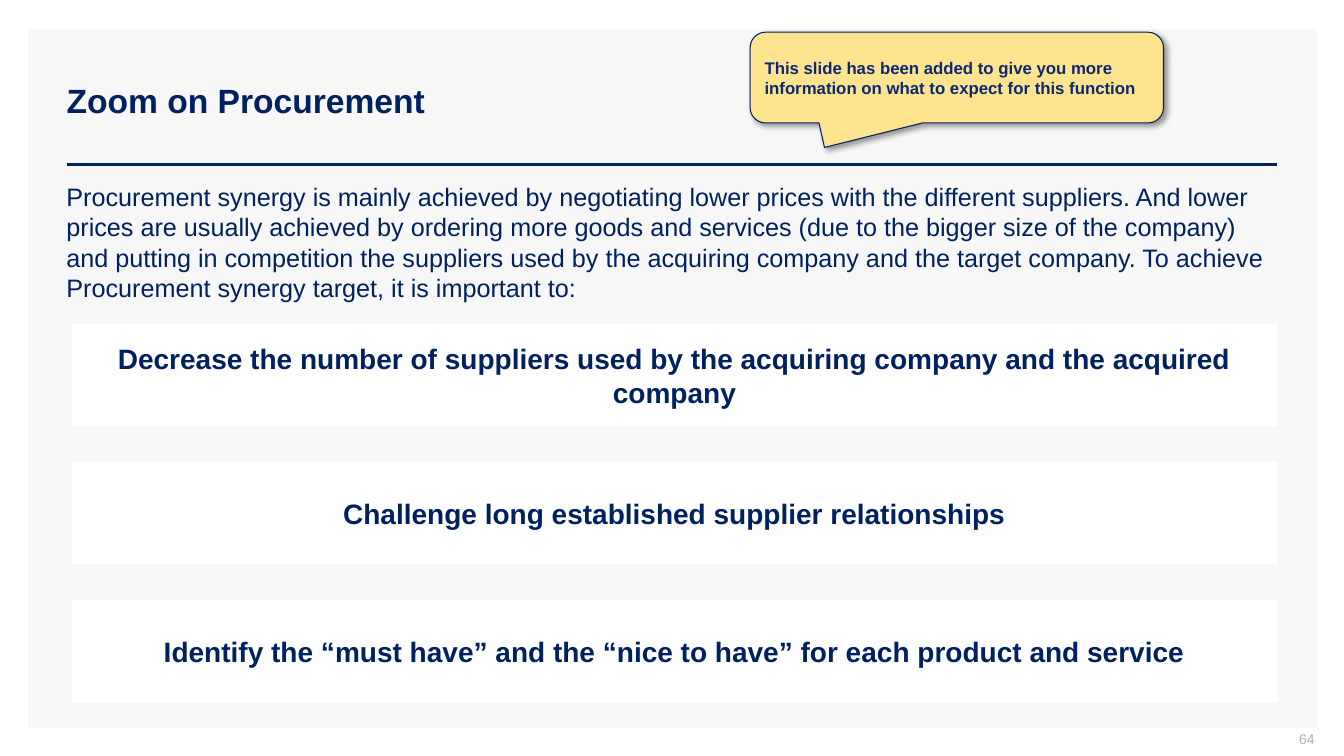
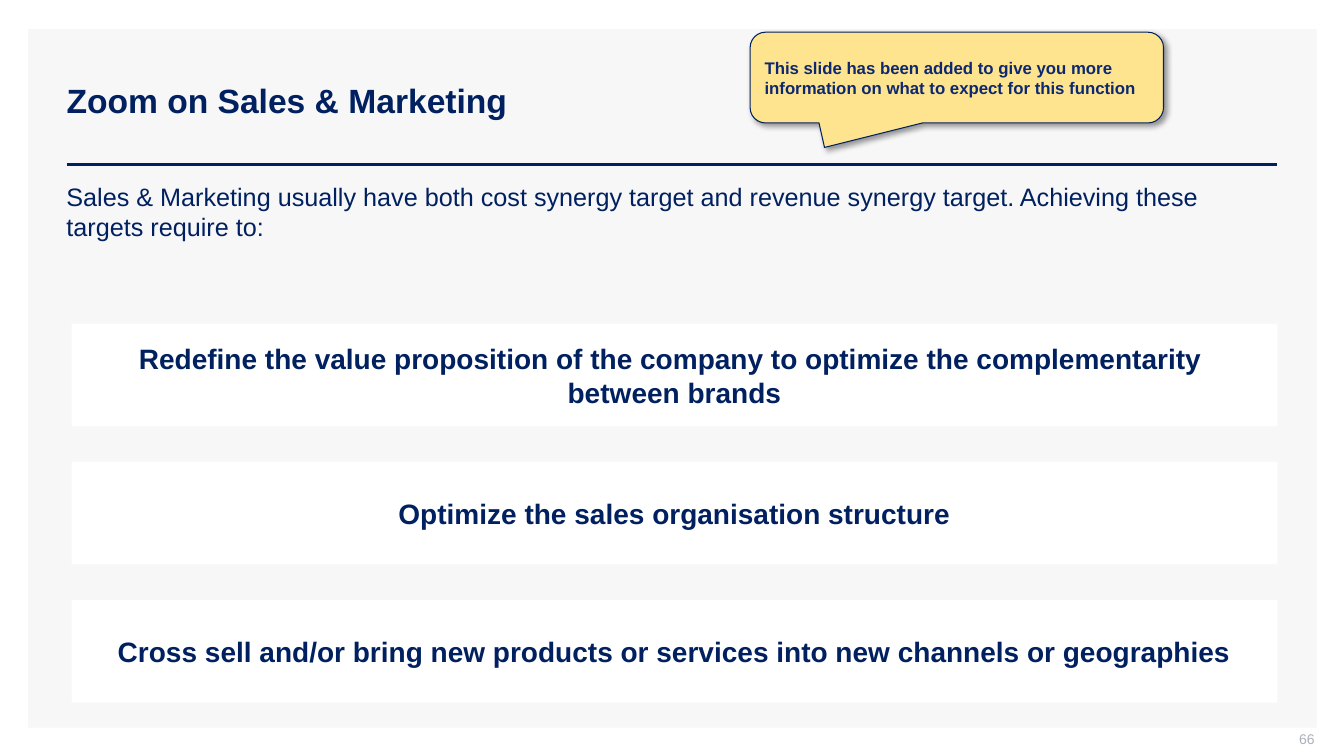
from lxml import etree
from pptx import Presentation
from pptx import util as u
from pptx.dml.color import RGBColor
from pptx.enum import shapes, text
from pptx.oxml import parse_xml
from pptx.oxml.ns import nsdecls, qn

PX = 9144  # EMU in one px, 100 px to the inch
FONT = "Arial"
COLORS = {
    "navy": "002060",
    "note_text": "0C2870",
    "note": "FFE48F",
    "panel": "F7F7F7",
    "white": "FFFFFF",
    "page_number": "ADAFBB",
    "shadow": "000000",
}
NOTE = ("This slide has been added to give you more information "
        "on what to expect for this function")
CARD_TOP, CARD_PITCH = 321, 137

SLIDES = [
    {
        "title": "Zoom on Procurement",
        "number": "64",
        "intro": "Procurement synergy is mainly achieved by negotiating lower prices with the "
                 "different suppliers. And lower prices are usually achieved by ordering more "
                 "goods and services (due to the bigger size of the company) and putting in "
                 "competition the suppliers used by the acquiring company and the target "
                 "company. To achieve Procurement synergy target, it is important to:",
        "intro_height": 131,
        "cards": [
            "Decrease the number of suppliers used by the acquiring company and the acquired company",
            "Challenge long established supplier relationships",
            "Identify the “must have” and the “nice to have” for each product and service",
        ],
    },
    {
        "title": "Zoom on Sales & Marketing",
        "number": "66",
        "intro": "Sales & Marketing usually have both cost synergy target and revenue synergy "
                 "target. Achieving these targets require to:",
        "intro_height": 71,
        "cards": [
            "Redefine the value proposition of the company to optimize the complementarity \v"
            "between brands",
            "Optimize the sales organisation structure",
            "Cross sell and/or bring new products or services into new channels or geographies",
        ],
    },
]


def px(*lengths):
    return [u.Emu(length * PX) for length in lengths]


def rgb(name):
    return RGBColor.from_string(COLORS[name])


class Deck:
    """Holds the shared style and the slide being drawn."""

    def __init__(self):
        self.deck = Presentation()
        self.deck.slide_width, self.deck.slide_height = px(1333, 750)
        self.page = None

    def set_words(self, box, words, size, color="navy", bold=False, align="LEFT",
                  anchor="MIDDLE", insets=(10, 5, 10, 5)):
        frame = box.text_frame
        frame.word_wrap = True
        frame.auto_size = text.MSO_AUTO_SIZE.NONE
        frame.vertical_anchor = text.MSO_ANCHOR[anchor]
        (frame.margin_left, frame.margin_top,
         frame.margin_right, frame.margin_bottom) = px(*insets)
        frame.text = words
        para = frame.paragraphs[0]
        para.alignment = text.PP_ALIGN[align]
        for span in para.runs:
            span.font.name = FONT
            span.font.size = u.Pt(size)
            span.font.bold = bold
            span.font.color.rgb = rgb(color)

    def shape(self, kind, place, fill):
        box = self.page.shapes.add_shape(kind, *px(*place))
        box.shadow.inherit = False
        box.fill.solid()
        box.fill.fore_color.rgb = rgb(fill)
        box.line.fill.background()
        return box

    def rectangle(self, place, fill):
        return self.shape(shapes.MSO_SHAPE.RECTANGLE, place, fill)

    def text_box(self, place, words, size, **style):
        self.set_words(self.page.shapes.add_textbox(*px(*place)), words, size, **style)

    def rule(self, left, right, top):
        line = self.page.shapes.add_connector(
            shapes.MSO_CONNECTOR.STRAIGHT, *px(left, top, right, top))
        line.line.color.rgb = rgb("navy")
        line.line.width = u.Pt(2)
        etree.SubElement(line._element.spPr, qn("a:effectLst"))

    def title(self, words):
        title = self.page.shapes.title
        title.left, title.top, title.width, title.height = px(56, 40, 1211, 119)
        self.set_words(title, words, 24, bold=True)

    def card(self, place, words):
        self.set_words(self.rectangle(place, "white"), words, 20, bold=True, align="CENTER")

    def callout(self, place, words):
        note = self.shape(shapes.MSO_SHAPE.ROUNDED_RECTANGULAR_CALLOUT, place, "note")
        for index, value in enumerate((-0.32, 0.77, 0.17)):
            note.adjustments[index] = value
        note.line.color.rgb = rgb("navy")
        note.line.width = u.Pt(0.75)
        effects = note._element.spPr.find(qn("a:effectLst"))
        effects.append(parse_xml(
            f'<a:outerShdw {nsdecls("a")} blurRad="{u.Pt(4)}" dist="{u.Pt(3)}" '
            f'dir="2700000" algn="tl" rotWithShape="0"><a:srgbClr val="{COLORS["shadow"]}">'
            '<a:alpha val="40000"/></a:srgbClr></a:outerShdw>'))
        self.set_words(note, words, 12, color="note_text", bold=True)

    def new_page(self, title, number):
        """Starts a slide with the grey panel, title, rule and page number."""
        self.page = self.deck.slides.add_slide(self.deck.slide_layouts[5])
        panel = self.rectangle((28, 29, 1278, 693), "panel")
        self.page.shapes._spTree.insert(2, panel._element)  # behind the title
        self.rule(66, 1267, 163)
        self.title(title)
        self.text_box((1004, 725, 300, 21), number, 10, color="page_number",
                      align="RIGHT", insets=(10, 0, 0, 5))


def main():
    deck = Deck()
    for content in SLIDES:
        deck.new_page(content["title"], content["number"])
        deck.text_box((56, 175, 1211, content["intro_height"]), content["intro"], 18,
                      anchor="TOP")
        for row, words in enumerate(content["cards"]):
            deck.card((71, CARD_TOP + row * CARD_PITCH, 1196, 102), words)
        deck.callout((744, 32, 410, 90), NOTE)
    deck.deck.save("out.pptx")


if __name__ == "__main__":
    main()
